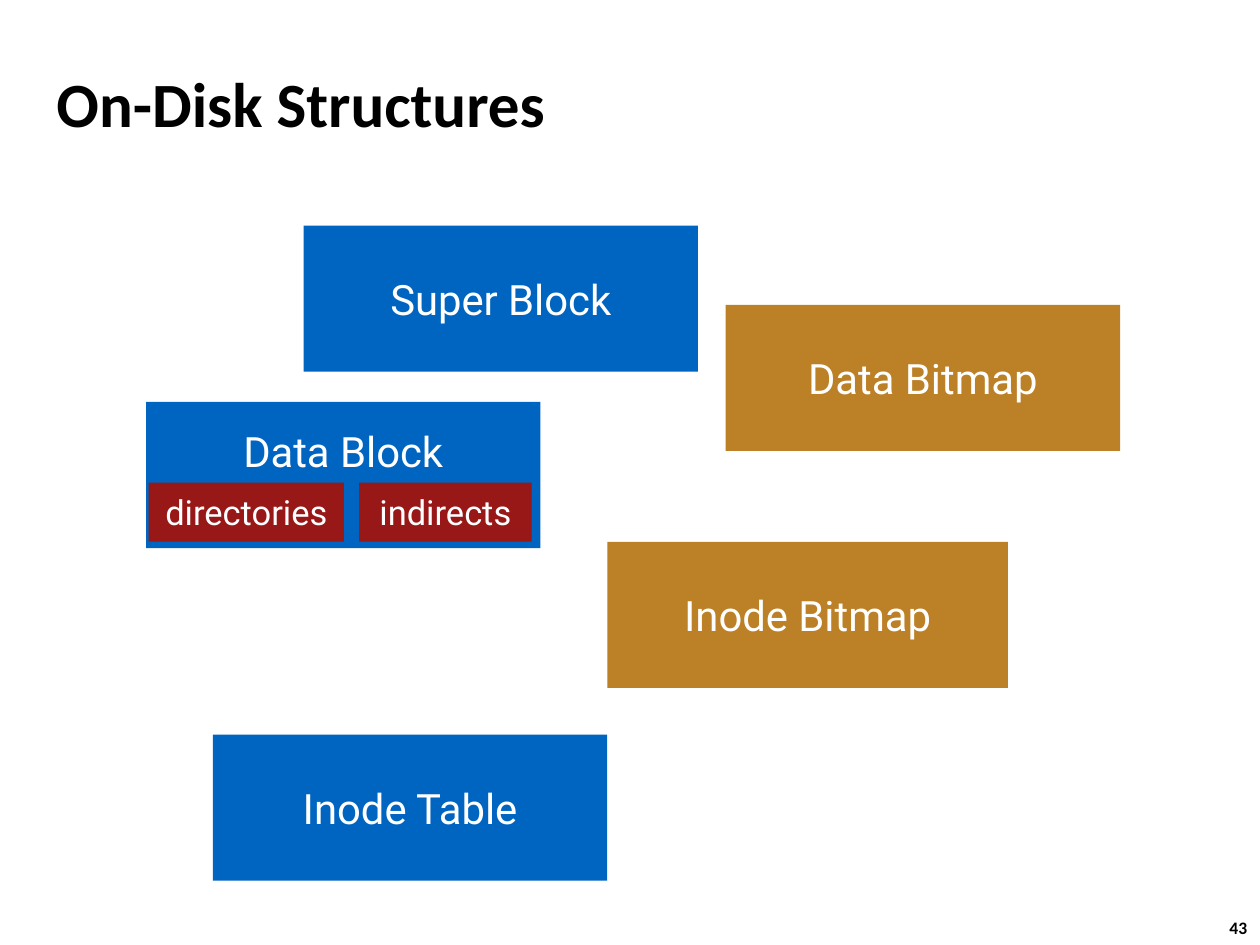
from pptx import Presentation
from pptx.dml.color import RGBColor
from pptx.enum.shapes import MSO_SHAPE
from pptx.enum.text import MSO_ANCHOR, PP_ALIGN
from pptx.util import Inches, Pt

RECT = MSO_SHAPE.RECTANGLE
MIDDLE = MSO_ANCHOR.MIDDLE
CENTER = PP_ALIGN.CENTER

COLORS = {"blue": "0065C1", "gold": "BC8027", "red": "971817",
          "white": "FFFFFF", "black": "000000"}

deck = Presentation()
deck.slide_width, deck.slide_height = Inches(10), Inches(7.5)
slide = deck.slides.add_slide(deck.slide_layouts[6])
unit = deck.slide_width / 100


def place(*spans):
    return [round(span * unit) for span in spans]


def write(frame, text, face, size, color, bold=False):
    line = frame.paragraphs[0]
    line.text = text
    line.font.name = face
    line.font.size = Pt(size)
    line.font.bold = bold
    line.font.color.rgb = RGBColor.from_string(COLORS[color])
    return line


labels = [
    ("43", 96.6, 72.3, 3.7, 2.7, 10, False),
    ("On-Disk Structures", 3.5, 4, 83, 8.3, 36, True),
]
for text, left, top, wide, high, size, wrap in labels:
    frame = slide.shapes.add_textbox(*place(left, top, wide, high)).text_frame
    frame.word_wrap = wrap
    frame.vertical_anchor = MIDDLE
    write(frame, text, "Calibri", size, "black", True)

wide, high = 31.3, 11.6
small = 4.7
row = 38.3
blocks = [
    ("Super Block", 24.1, 17.9, wide, high, "blue", 23.9, 0),
    ("Data Block", 11.6, 31.9, wide, high, "blue", 23.9, 3.9),
    ("Inode Table", 16.9, 58.3, wide, high, "blue", 23.9, 0),
    ("Data Bitmap", 57.6, 24.2, wide, high, "gold", 23.9, 0),
    ("Inode Bitmap", 48.2, 43, 31.8, high, "gold", 23.9, 0),
    ("directories", 11.8, row, 15.5, small, "red", 19.7, 0),
    ("indirects", 28.5, row, 13.7, small, "red", 19.7, 0),
]
for text, left, top, width, height, color, size, lift in blocks:
    block = slide.shapes.add_shape(RECT, *place(left, top, width, height))
    block.shadow.inherit = False
    block.fill.solid()
    block.fill.fore_color.rgb = RGBColor.from_string(COLORS[color])
    block.line.fill.background()
    frame = block.text_frame
    frame.margin_left = frame.margin_right = frame.margin_top = 0
    frame.margin_bottom = round(lift * unit)
    frame.vertical_anchor = MIDDLE
    write(frame, text, "Roboto", size, "white").alignment = CENTER

deck.save("out.pptx")
